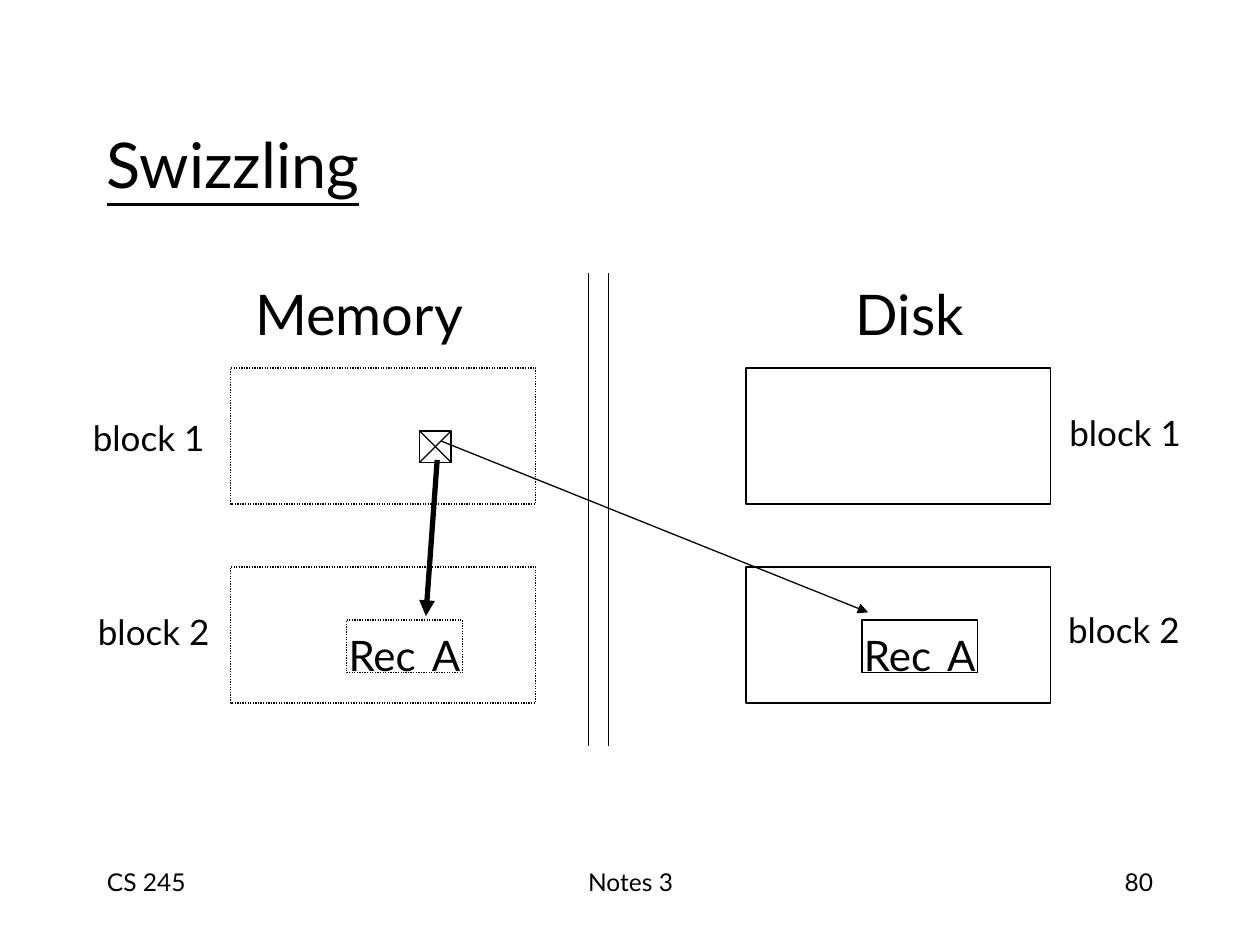
import pptx
import pptx.dml.color
import pptx.enum.dml
import pptx.enum.shapes
import pptx.enum.text
import pptx.oxml.ns
import pptx.util
from lxml import etree
from pptx.util import Inches

BLACK = pptx.dml.color.RGBColor(0x00, 0x00, 0x00)
WHITE = pptx.dml.color.RGBColor(0xFF, 0xFF, 0xFF)
FONT = "Lato"
ALIGN = pptx.enum.text.PP_ALIGN
ANCHOR = pptx.enum.text.MSO_ANCHOR
DOTTED = pptx.enum.dml.MSO_LINE.ROUND_DOT
MEMORY_LEFT, DISK_LEFT = 1.83, 5.92
BLOCK_TOPS = (2.92, 4.5)


def apply_format(target, values):
    """Set every attribute named in values on target."""
    for name, value in values.items():
        setattr(target, name, value)


def write(shape, runs, align, anchor, wrap, underline=None):
    """Put one paragraph of (text, size) runs into a shape."""
    frame = shape.text_frame
    apply_format(frame, {
        "word_wrap": wrap, "vertical_anchor": anchor,
        "margin_left": Inches(0.1), "margin_right": Inches(0.1),
        "margin_top": Inches(0.05), "margin_bottom": Inches(0.05),
    })
    paragraph = frame.paragraphs[0]
    paragraph.alignment = align
    for text, size in runs:
        run = paragraph.add_run()
        run.text = text
        apply_format(run.font, {"name": FONT, "size": pptx.util.Pt(size), "underline": underline})
        run.font.color.rgb = BLACK


def add_label(slide, place, text, size, align=ALIGN.CENTER, anchor=ANCHOR.TOP,
              wrap=True, underline=None):
    """Add a text box at place (left, top, width, height)."""
    label = slide.shapes.add_textbox(*map(Inches, place))
    write(label, [(text, size)], align, anchor, wrap, underline)


def add_box(slide, place, dash=None):
    """Add a white rectangle with a thin black outline."""
    box = slide.shapes.add_shape(
        pptx.enum.shapes.MSO_SHAPE.RECTANGLE, *map(Inches, place))
    box.shadow.inherit = False
    box.fill.solid()
    box.fill.fore_color.rgb = WHITE
    box.line.color.rgb = BLACK
    apply_format(box.line, {"width": pptx.util.Pt(0.75), "dash_style": dash})
    return box


def add_line(slide, start, end, width=0.75, arrow=False):
    """Add a straight black line, with an arrowhead at its end if asked."""
    line = slide.shapes.add_connector(
        pptx.enum.shapes.MSO_CONNECTOR.STRAIGHT, *map(Inches, (*start, *end)))
    line.line.color.rgb = BLACK
    line.line.width = pptx.util.Pt(width)
    qn = pptx.oxml.ns.qn
    properties = line._element.spPr
    if arrow:
        etree.SubElement(properties.find(qn("a:ln")), qn("a:tailEnd"), type="triangle")
    etree.SubElement(properties, qn("a:effectLst"))


def add_store(slide, left, heading, heading_left, dash=None):
    """Add a heading, two blocks and the record held in the second one."""
    add_label(slide, (heading_left, 2.17, 2.5, 0.81), heading, 32)
    for top in BLOCK_TOPS:
        add_box(slide, (left, top, 2.42, 1.08), dash)
    record = add_box(slide, (left + 0.92, 4.92, 0.92, 0.42), dash)
    write(record, [("Rec", 24), (" ", 36), ("A", 24)], ALIGN.CENTER, ANCHOR.MIDDLE, False)


def add_pointer(slide, left, top, side):
    """Add the crossed square that holds the pointer."""
    right, bottom = left + side, top + side
    add_box(slide, (left, top, side, side))
    add_line(slide, (right, top), (left, bottom))
    add_line(slide, (left, top), (right, bottom))


def main():
    """Build the swizzling slide and save it."""
    deck = pptx.Presentation()
    apply_format(deck, {"slide_width": Inches(10), "slide_height": Inches(7.5)})
    slide = deck.slides.add_slide(deck.slide_layouts[6])

    for left, width, text, align in (
        (0.75, 2.08, "CS 245", ALIGN.LEFT),
        (3.42, 3.17, "Notes 3", ALIGN.CENTER),
        (7.17, 2.08, "80", ALIGN.RIGHT),
    ):
        add_label(slide, (left, 6.83, width, 0.5), text, 14, align)
    add_label(slide, (0.75, 0.67, 8.5, 1.25), "Swizzling", 36, ALIGN.LEFT,
              ANCHOR.MIDDLE, underline=True)

    add_store(slide, MEMORY_LEFT, "Memory", 1.6, DOTTED)
    add_store(slide, DISK_LEFT, "Disk", 5.97)
    for x in (4.67, 4.83):
        add_line(slide, (x, 2.17), (x, 5.92))

    add_pointer(slide, 3.33, 3.42, 0.25)
    add_line(slide, (3.5, 3.5), (6.89, 4.86), arrow=True)
    add_line(slide, (3.47, 3.65), (3.38, 4.89), 3, arrow=True)

    for left, top, text in (
        (0.62, 3.25, "block 1"),
        (0.66, 4.79, "block 2"),
        (8.37, 3.21, "block 1"),
        (8.36, 4.78, "block 2"),
    ):
        add_label(slide, (left, top, 1.12, 0.44), text, 20, anchor=ANCHOR.MIDDLE, wrap=False)

    deck.save("out.pptx")


if __name__ == "__main__":
    main()
